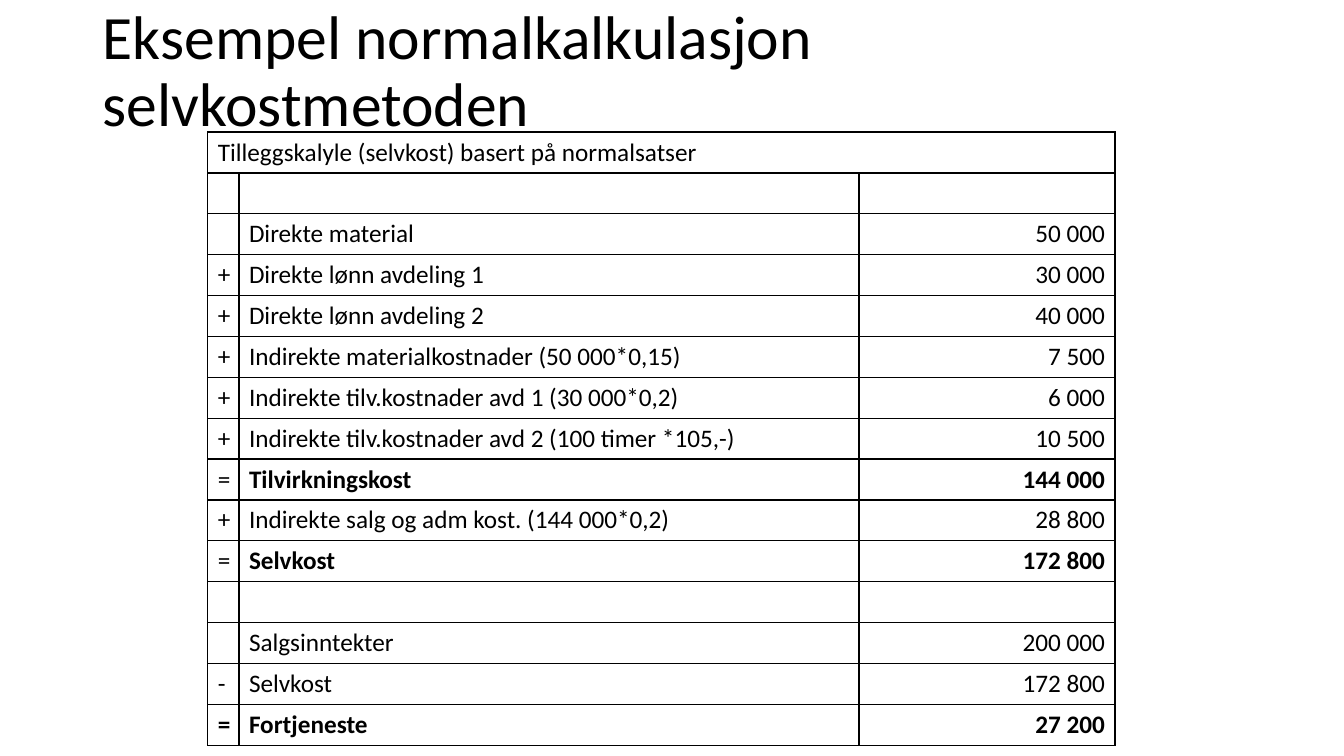
from lxml import etree
from pptx import Presentation
from pptx.dml.color import RGBColor
from pptx.enum.text import MSO_ANCHOR, PP_ALIGN
from pptx.oxml.ns import qn
from pptx.util import Inches, Pt

BLACK = RGBColor(0, 0, 0)
FONT = "Calibri"
LEFT, RIGHT = PP_ALIGN.LEFT, PP_ALIGN.RIGHT
MIDDLE = MSO_ANCHOR.MIDDLE
TITLE_ONLY = 5

COLUMN_WIDTHS = (0.31, 6.15, 2.54)
ROW_HEIGHT = 6.08 / 15
ALIGNMENTS = (LEFT, LEFT, RIGHT)
CALCULATION = (
    ("Tilleggskalyle (selvkost) basert på normalsatser", "", ""),
    ("", "", ""),
    ("", "Direkte material", "50 000"),
    ("+", "Direkte lønn avdeling 1", "30 000"),
    ("+", "Direkte lønn avdeling 2", "40 000"),
    ("+", "Indirekte materialkostnader (50 000*0,15)", "7 500"),
    ("+", "Indirekte tilv.kostnader avd 1 (30 000*0,2)", "6 000"),
    ("+", "Indirekte tilv.kostnader avd 2 (100 timer *105,-)", "10 500"),
    ("=", "Tilvirkningskost", "144 000"),
    ("+", "Indirekte salg og adm kost. (144 000*0,2)", "28 800"),
    ("=", "Selvkost", "172 800"),
    ("", "", ""),
    ("", "Salgsinntekter", "200 000"),
    ("-", "Selvkost", "172 800"),
    ("=", "Fortjeneste", "27 200"),
)


def format_paragraph(paragraph, size, bold=False, alignment=LEFT):
    """Set the font and alignment of a paragraph."""
    paragraph.alignment = alignment
    paragraph.font.name = FONT
    paragraph.font.size = Pt(size)
    paragraph.font.bold = bold
    paragraph.font.color.rgb = BLACK


def set_title(slide, text):
    """Place and format the title placeholder."""
    title = slide.shapes.title
    title.left, title.top = Inches(0.92), Inches(0)
    title.width, title.height = Inches(11.5), Inches(1.45)
    frame = title.text_frame
    frame.text = text
    frame.word_wrap = True
    frame.vertical_anchor = MIDDLE
    paragraph = frame.paragraphs[0]
    paragraph.line_spacing = 0.9
    format_paragraph(paragraph, 44)


def add_borders(cell):
    """Draw a one-point line on every side of a cell."""
    properties = cell._tc.get_or_add_tcPr()
    for side in ("a:lnL", "a:lnR", "a:lnT", "a:lnB"):
        line = etree.SubElement(properties, qn(side), w=str(Pt(1)))
        fill = etree.SubElement(line, qn("a:solidFill"))
        etree.SubElement(fill, qn("a:srgbClr"), val=str(BLACK))


def add_calculation_table(slide):
    """Add the cost calculation with its heading across all columns."""
    row_count, column_count = len(CALCULATION), len(COLUMN_WIDTHS)
    table = slide.shapes.add_table(
        row_count, column_count, Inches(2.06), Inches(1.31),
        Inches(sum(COLUMN_WIDTHS)), Inches(ROW_HEIGHT * row_count)).table
    table.first_row = table.horz_banding = False
    for column, width in zip(table.columns, COLUMN_WIDTHS):
        column.width = Inches(width)
    for row, values in zip(table.rows, CALCULATION):
        row.height = Inches(ROW_HEIGHT)
        is_total = values[0] == "="
        is_profit = values is CALCULATION[-1]
        for index, (cell, value) in enumerate(zip(row.cells, values)):
            add_borders(cell)
            cell.fill.background()
            cell.text = value
            bold = is_profit or (is_total and index > 0)
            format_paragraph(cell.text_frame.paragraphs[0], 18, bold, ALIGNMENTS[index])
    table.cell(0, 0).merge(table.cell(0, column_count - 1))


def main():
    """Build and save the presentation."""
    presentation = Presentation()
    presentation.slide_width = Inches(13.33)
    presentation.slide_height = Inches(7.5)
    slide = presentation.slides.add_slide(presentation.slide_layouts[TITLE_ONLY])
    set_title(slide, "Eksempel normalkalkulasjon selvkostmetoden")
    add_calculation_table(slide)
    presentation.save("out.pptx")


if __name__ == "__main__":
    main()
